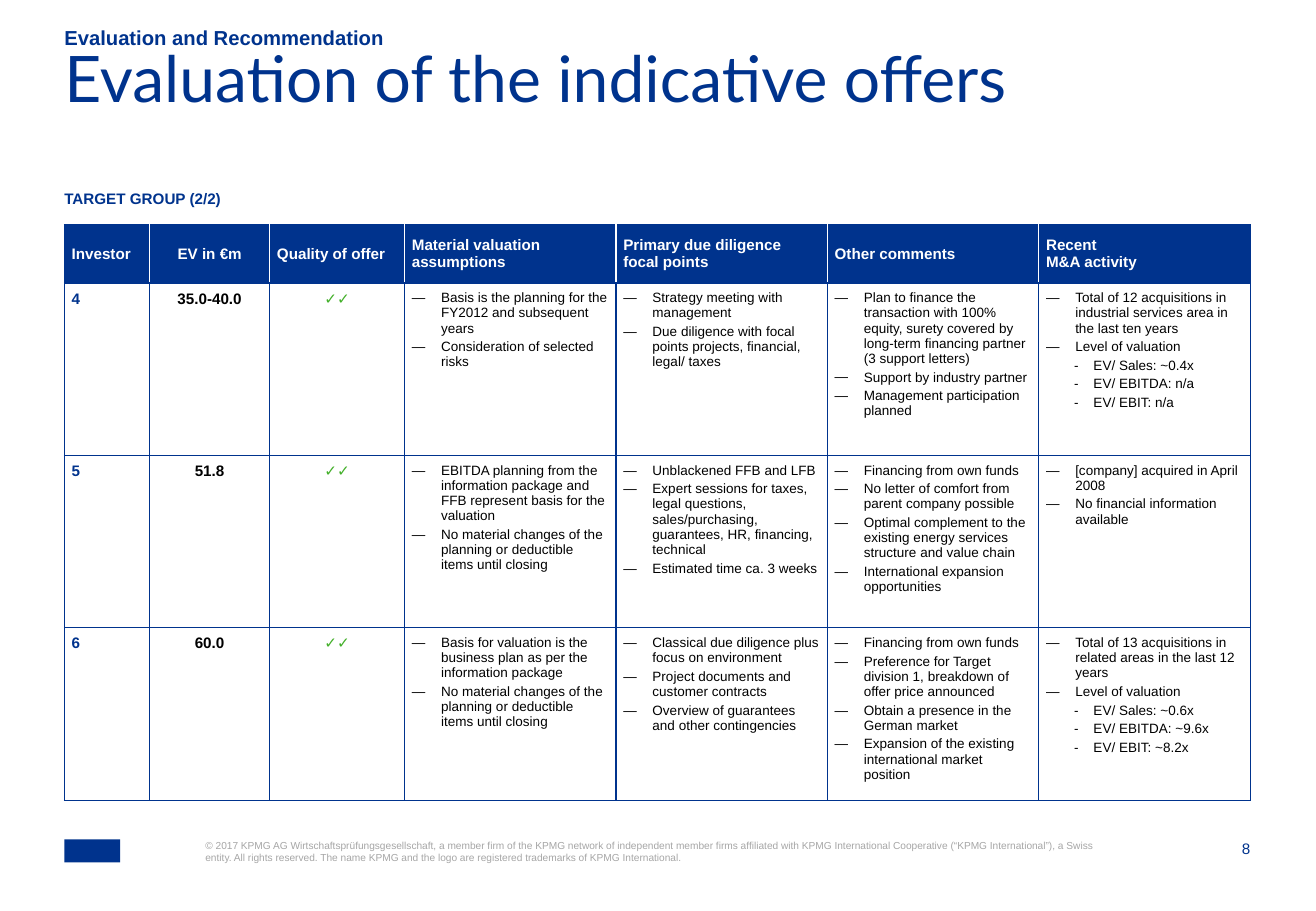
from dataclasses import dataclass

from lxml.etree import SubElement
from pptx import Presentation
from pptx.dml.color import RGBColor
from pptx.enum.shapes import MSO_SHAPE
from pptx.enum.text import MSO_ANCHOR, PP_ALIGN
from pptx.oxml.ns import qn
from pptx.util import Inches, Pt


@dataclass(frozen=True)
class Theme:
    navy: str = "00338D"
    white: str = "FFFFFF"
    black: str = "000000"
    green: str = "43B02A"
    grey: str = "A6A6A6"
    body_font: str = "Arial"
    title_font: str = "Lato"
    title_size: float = 38
    section_size: float = 12
    label_size: float = 9
    detail_size: float = 8
    legal_size: float = 6
    border_width: float = 0.75


THEME = Theme()
COLUMN_WIDTHS = [0.7, 0.99, 1.11] + [1.74] * 4
HEADER_HEIGHT, OFFER_HEIGHT = 0.48, 1.42
CELL_MARGIN = 0.06
BULLETS = {1: ("—", 0.24, -0.24), 2: ("-", 0.39, -0.16)}
CENTERED_COLUMNS = (1, 2)

HEADERS = [
    "Investor", "EV in €m", "Quality of offer", "Material valuation assumptions",
    "Primary due diligence focal points", "Other comments", "Recent\nM&A activity",
]
OFFERS = [
    ["4", "35.0-40.0", "✓✓",
     "Basis is the planning for the FY2012 and subsequent years\n"
     "Consideration of selected risks",
     "Strategy meeting with management\n"
     "Due diligence with focal points projects, financial, legal/ taxes",
     "Plan to finance the transaction with 100% equity, surety covered by "
     "long-term financing partner (3 support letters)\n"
     "Support by industry partner\n"
     "Management participation planned",
     "Total of 12 acquisitions in industrial services area in the last ten years\n"
     "Level of valuation\n"
     "- EV/ Sales: ~0.4x\n- EV/ EBITDA: n/a\n- EV/ EBIT: n/a"],
    ["5", "51.8", "✓✓",
     "EBITDA planning from the information package and FFB represent basis "
     "for the valuation\n"
     "No material changes of the planning or deductible items until closing",
     "Unblackened FFB and LFB\n"
     "Expert sessions for taxes, legal questions, sales/purchasing, guarantees, "
     "HR, financing, technical\n"
     "Estimated time ca. 3 weeks",
     "Financing from own funds\n"
     "No letter of comfort from parent company possible\n"
     "Optimal complement to the existing energy services structure and value chain\n"
     "International expansion opportunities",
     "[company] acquired in April 2008\n"
     "No financial information available"],
    ["6", "60.0", "✓✓",
     "Basis for valuation is the business plan as per the information package\n"
     "No material changes of the planning or deductible items until closing",
     "Classical due diligence plus focus on environment\n"
     "Project documents and customer contracts\n"
     "Overview of guarantees and other contingencies",
     "Financing from own funds\n"
     "Preference for Target division 1, breakdown of offer price announced\n"
     "Obtain a presence in the German market\n"
     "Expansion of the existing international market position",
     "Total of 13 acquisitions in related areas in the last 12 years\n"
     "Level of valuation\n"
     "- EV/ Sales: ~0.6x\n- EV/ EBITDA: ~9.6x\n- EV/ EBIT: ~8.2x"],
]
COPYRIGHT = (
    "© 2017 KPMG AG Wirtschaftsprüfungsgesellschaft, a member firm of the KPMG network "
    "of independent member firms affiliated with KPMG International Cooperative "
    "(“KPMG International”), a Swiss entity. All rights reserved. The name KPMG and the "
    "logo are registered trademarks of KPMG International."
)


def add_bullet(paragraph, level):
    mark, margin, indent = BULLETS[level]
    paragraph.level = level
    properties = paragraph._p.get_or_add_pPr()
    properties.set("marL", str(Inches(margin)))
    properties.set("indent", str(Inches(indent)))
    bullet_color = SubElement(properties, qn("a:buClr"))
    SubElement(bullet_color, qn("a:srgbClr"), val=THEME.black)
    SubElement(properties, qn("a:buFont"), typeface=THEME.body_font)
    SubElement(properties, qn("a:buChar"), char=mark)


def write_text(frame, text, *, size=THEME.label_size, color=THEME.navy, bold=False,
               font=THEME.body_font, align=PP_ALIGN.LEFT, space_after=0,
               line_spacing=None, bulleted=False):
    frame.word_wrap = True
    for index, line in enumerate(text.split("\n")):
        paragraph = frame.add_paragraph() if index else frame.paragraphs[0]
        if bulleted:
            add_bullet(paragraph, 2 if line.startswith("- ") else 1)
            line = line.removeprefix("- ")
        paragraph.alignment = align
        paragraph.space_after = Pt(space_after)
        if line_spacing:
            paragraph.line_spacing = line_spacing
        run = paragraph.add_run()
        run.text = line
        run.font.name = font
        run.font.size = Pt(size)
        run.font.bold = bold
        run.font.color.rgb = RGBColor.from_string(color)


def add_text(slide, left, top, width, height, text, anchor=MSO_ANCHOR.TOP, **style):
    frame = slide.shapes.add_textbox(
        Inches(left), Inches(top), Inches(width), Inches(height)).text_frame
    frame.margin_left = frame.margin_right = frame.margin_top = frame.margin_bottom = 0
    frame.vertical_anchor = anchor
    write_text(frame, text, **style)


def add_heading(slide, left, top, width):
    add_text(slide, left, top, width, 0.19, "Evaluation and Recommendation",
             anchor=MSO_ANCHOR.BOTTOM, size=THEME.section_size, bold=True)
    add_text(slide, left, top + 0.27, width, 0.79, "Evaluation of the indicative offers",
             size=THEME.title_size, font=THEME.title_font, line_spacing=0.7)
    add_text(slide, left, top + 1.34, width, 0.29, "TARGET GROUP (2/2)",
             bold=True, space_after=6)


def format_cell(cell, fill, left_border, right_border):
    cell.margin_left = cell.margin_right = Inches(CELL_MARGIN)
    cell.margin_top = cell.margin_bottom = Inches(CELL_MARGIN)
    properties = cell._tc.get_or_add_tcPr()
    edges = {"lnL": left_border, "lnR": right_border, "lnT": THEME.navy, "lnB": THEME.navy}
    for edge, color in edges.items():
        border = SubElement(properties, qn(f"a:{edge}"), w=str(Pt(THEME.border_width)))
        SubElement(SubElement(border, qn("a:solidFill")), qn("a:srgbClr"), val=color)
    cell.fill.solid()
    cell.fill.fore_color.rgb = RGBColor.from_string(fill)


def add_offers_table(slide, left, top, width):
    heights = [HEADER_HEIGHT] + [OFFER_HEIGHT] * len(OFFERS)
    offers_table = slide.shapes.add_table(
        len(heights), len(HEADERS), Inches(left), Inches(top),
        Inches(width), Inches(sum(heights))).table
    offers_table.first_row = offers_table.horz_banding = False
    for column, column_width in zip(offers_table.columns, COLUMN_WIDTHS):
        column.width = Inches(column_width)
    for row, height in zip(offers_table.rows, heights):
        row.height = Inches(height)

    last = len(HEADERS) - 1
    label_colors = [THEME.navy, THEME.black, THEME.green]
    for row_index, entries in enumerate([HEADERS] + OFFERS):
        for column_index, entry in enumerate(entries):
            cell = offers_table.cell(row_index, column_index)
            align = PP_ALIGN.CENTER if column_index in CENTERED_COLUMNS else PP_ALIGN.LEFT
            if row_index == 0:
                format_cell(cell, THEME.navy,
                            THEME.white if column_index else THEME.navy,
                            THEME.white if column_index < last else THEME.navy)
                cell.vertical_anchor = MSO_ANCHOR.MIDDLE
                if column_index == 2:
                    align = PP_ALIGN.LEFT
                write_text(cell.text_frame, entry, color=THEME.white, bold=True, align=align)
                continue
            format_cell(cell, THEME.white, THEME.navy, THEME.navy)
            if column_index < len(label_colors):
                write_text(cell.text_frame, entry, color=label_colors[column_index],
                           bold=True, align=align, space_after=2)
            else:
                write_text(cell.text_frame, entry, size=THEME.detail_size,
                           color=THEME.black, space_after=2, bulleted=True)


def add_footer(slide, left, top, width):
    emblem = slide.shapes.add_shape(
        MSO_SHAPE.RECTANGLE, Inches(left), Inches(top), Inches(0.46), Inches(0.19))
    emblem.shadow.inherit = False
    emblem.fill.solid()
    emblem.fill.fore_color.rgb = RGBColor.from_string(THEME.navy)
    emblem.line.fill.background()
    add_text(slide, left + 1.16, top, 7.49, 0.41, COPYRIGHT,
             size=THEME.legal_size, color=THEME.grey)
    add_text(slide, left + width - 0.43, top, 0.43, 0.16, "8", align=PP_ALIGN.RIGHT)


def main():
    presentation = Presentation()
    presentation.slide_width = Inches(10.83)
    presentation.slide_height = Inches(7.5)
    slide = presentation.slides.add_slide(presentation.slide_layouts[6])
    left, width = 0.53, sum(COLUMN_WIDTHS)
    add_heading(slide, left, 0.22, width)
    add_offers_table(slide, left, 1.85, width)
    add_footer(slide, left, 6.91, width)
    presentation.save("out.pptx")


if __name__ == "__main__":
    main()
